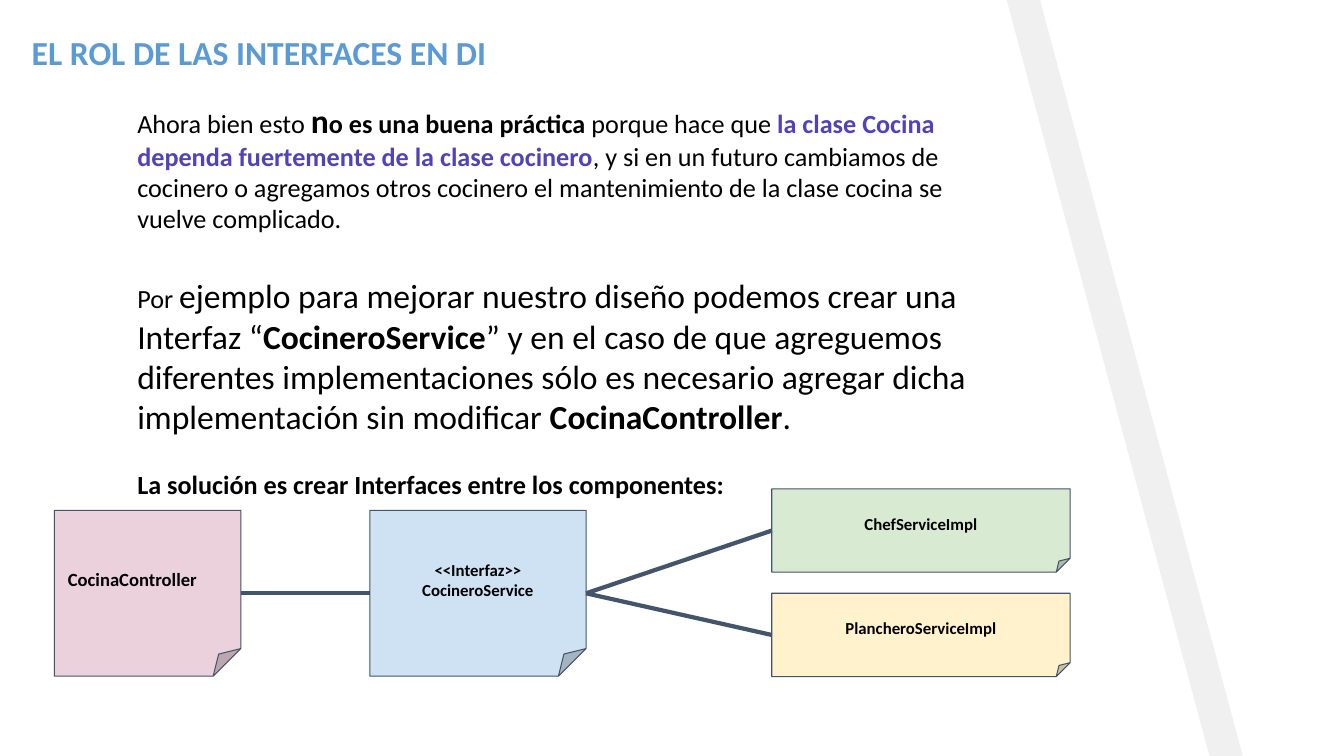
"""Builds the slide on the role of interfaces in dependency injection."""
from dataclasses import dataclass

from lxml import etree
from pptx import Presentation
from pptx import util as u
from pptx.dml.color import RGBColor
from pptx.enum import shapes, text
from pptx.oxml.ns import qn

FONT = "Calibri"
BLACK, BLUE, PURPLE, SLATE, BAND = "000000", "5B9BD5", "5142BB", "44546A", "F0F0F0"
SMALL, LARGE = 18.7, 24
LEFT, CENTER = text.PP_ALIGN.LEFT, text.PP_ALIGN.CENTER
TOP, MIDDLE = text.MSO_ANCHOR.TOP, text.MSO_ANCHOR.MIDDLE
LEFT_SITE, RIGHT_SITE = 1, 3


@dataclass(frozen=True)
class Run:
    words: str
    size: float = SMALL
    bold: bool = False
    color: str = BLACK


@dataclass(frozen=True)
class Para:
    runs: tuple[Run, ...]
    before: float = 0


@dataclass(frozen=True)
class Component:
    lines: tuple[str, ...]
    box: tuple[float, float, float, float]
    fill: str
    size: float = 12
    align: text.PP_ALIGN = CENTER


HEADING = (Para((Run("EL ROL DE LAS INTERFACES EN DI", LARGE, True, BLUE),)),)

EXPLANATION = (
    Para((
        Run("Ahora bien esto "),
        Run("n", LARGE, True),
        Run("o es una buena práctica", bold=True),
        Run(" porque hace que "),
        Run("la clase Cocina dependa fuertemente de la clase cocinero", bold=True, color=PURPLE),
        Run(", y si en un futuro cambiamos de cocinero o agregamos otros cocinero "
            "el mantenimiento de la clase cocina se vuelve complicado."),
    )),
    Para((
        Run("Por "),
        Run("ejemplo para mejorar nuestro diseño podemos crear una Interfaz “", LARGE),
        Run("CocineroService", LARGE, True),
        Run("” y en el caso de que agreguemos diferentes implementaciones sólo es "
            "necesario agregar dicha implementación sin modificar ", LARGE),
        Run("CocinaController", LARGE, True),
        Run(".", LARGE),
    ), before=29.3),
    Para((Run("La solución es crear Interfaces entre los componentes:", bold=True),), before=22.8),
)

CONTROLLER = Component(("CocinaController",), (1.37, 12.86, 4.7, 4.18), "EAD1DC", 13.3, LEFT)
INTERFACE = Component(("<<Interfaz>>", "CocineroService"), (9.32, 12.86, 5.45, 4.18), "CFE2F3")
CHEF = Component(("ChefServiceImpl",), (19.45, 12.32, 7.52, 2.1), "D9EAD3")
GRILL = Component(("PlancheroServiceImpl",), (19.45, 14.95, 7.52, 2.1), "FFF2CC")


def rgb(value: str) -> RGBColor:
    """Turns a hex string into a colour."""
    return RGBColor.from_string(value)


def write(frame, paras: tuple[Para, ...], align: text.PP_ALIGN, anchor: text.MSO_ANCHOR,
          inset_y: float) -> None:
    """Fills a text frame run by run."""
    frame.word_wrap = True
    frame.auto_size = text.MSO_AUTO_SIZE.NONE
    frame.vertical_anchor = anchor
    frame.margin_left = frame.margin_right = u.Cm(0.34)
    frame.margin_top = frame.margin_bottom = u.Cm(inset_y)
    for index, para in enumerate(paras):
        line = frame.paragraphs[0] if index == 0 else frame.add_paragraph()
        props = line._p.get_or_add_pPr()
        props.set("marL", "0")
        props.set("indent", "0")
        etree.SubElement(props, qn("a:buNone"))
        line.alignment = align
        line.line_spacing = 1.0
        line.space_before = u.Pt(para.before)
        for part in para.runs:
            run = line.add_run()
            run.text = part.words
            run.font.name = FONT
            run.font.size = u.Pt(part.size)
            run.font.bold = part.bold
            run.font.color.rgb = rgb(part.color)


def place(holder, left: float, top: float, width: float, height: float) -> None:
    """Moves and sizes a placeholder, in centimetres."""
    holder.left, holder.top = u.Cm(left), u.Cm(top)
    holder.width, holder.height = u.Cm(width), u.Cm(height)


def draw_band(slide) -> None:
    """Draws the slanted grey band on the right."""
    corners = [(26.21, 0), (31.32, 19.05), (30.48, 19.05)]
    builder = slide.shapes.build_freeform(u.Cm(25.37), 0)
    builder.add_line_segments([(u.Cm(x), u.Cm(y)) for x, y in corners], close=True)
    band = builder.convert_to_shape()
    band.shadow.inherit = False
    band.fill.solid()
    band.fill.fore_color.rgb = rgb(BAND)
    band.line.fill.background()


def draw_component(slide, component: Component):
    """Draws one component as a note with a folded corner."""
    note = slide.shapes.add_shape(shapes.MSO_SHAPE.FOLDED_CORNER, *map(u.Cm, component.box))
    note.shadow.inherit = False
    note.fill.solid()
    note.fill.fore_color.rgb = rgb(component.fill)
    note.line.color.rgb = rgb(SLATE)
    note.line.width = u.Pt(0.75)
    paras = tuple(Para((Run(words, component.size, True),)) for words in component.lines)
    write(note.text_frame, paras, component.align, MIDDLE, 0.34)
    return note


def link(slide, source, target) -> None:
    """Joins the right side of one component to the left side of another."""
    line = slide.shapes.add_connector(shapes.MSO_CONNECTOR.STRAIGHT, 0, 0, 0, 0)
    line.begin_connect(source, RIGHT_SITE)
    line.end_connect(target, LEFT_SITE)
    line.line.color.rgb = rgb(SLATE)
    line.line.width = u.Pt(3)
    etree.SubElement(line._element.spPr, qn("a:effectLst"))


def main() -> None:
    """Builds and saves the slide."""
    deck = Presentation()
    deck.slide_width, deck.slide_height = u.Cm(33.87), u.Cm(19.05)
    slide = deck.slides.add_slide(deck.slide_layouts[1])
    title, body = slide.shapes.title, slide.placeholders[1]
    place(title, 0.46, 0.64, 25.37, 1.7)
    write(title.text_frame, HEADING, LEFT, TOP, 0.17)
    place(body, 3.12, 2.34, 22.73, 9.45)
    write(body.text_frame, EXPLANATION, LEFT, TOP, 0.17)
    draw_band(slide)
    controller, interface, chef, grill = (
        draw_component(slide, component) for component in (CONTROLLER, INTERFACE, CHEF, GRILL))
    link(slide, controller, interface)
    for implementation in (chef, grill):
        link(slide, interface, implementation)
    deck.save("out.pptx")


if __name__ == "__main__":
    main()
